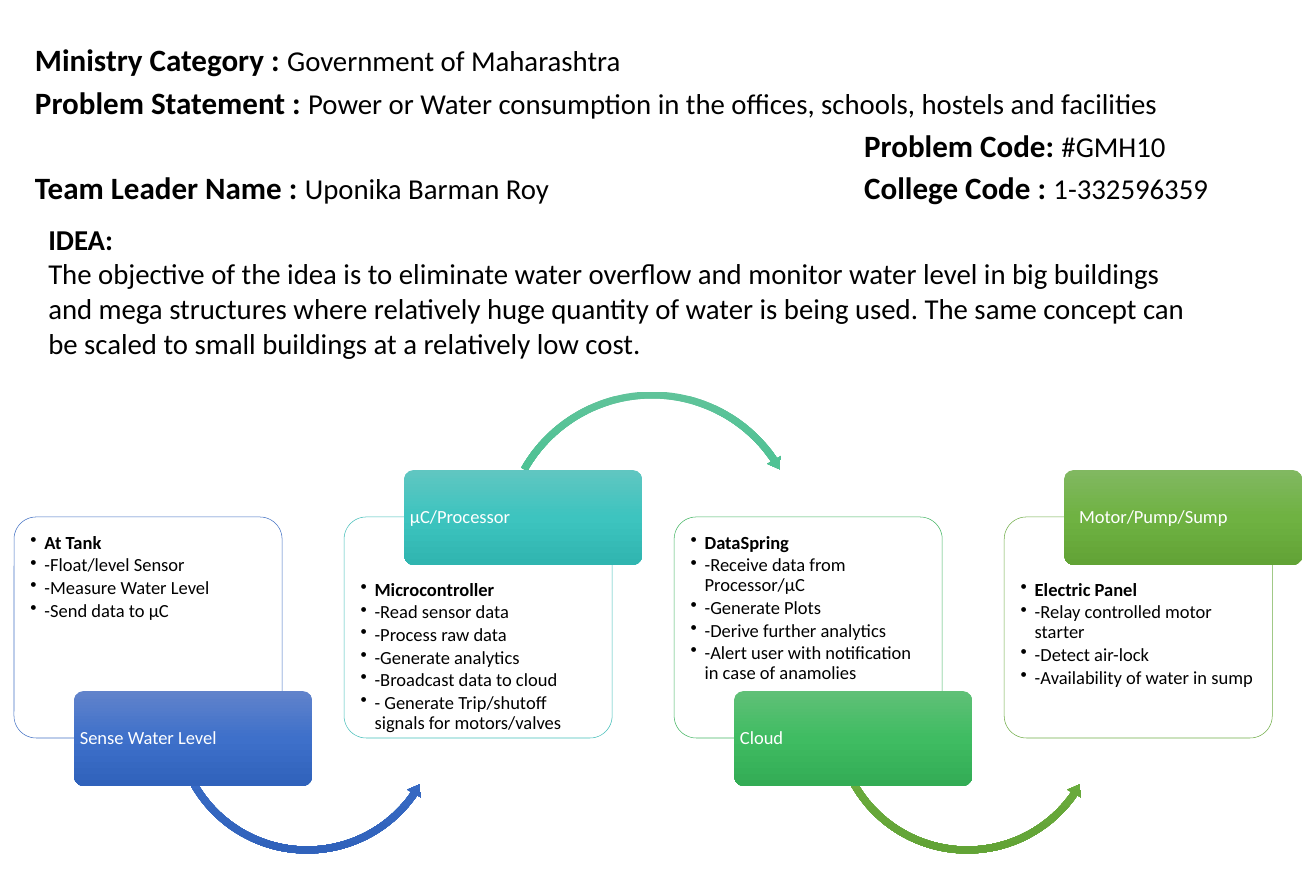
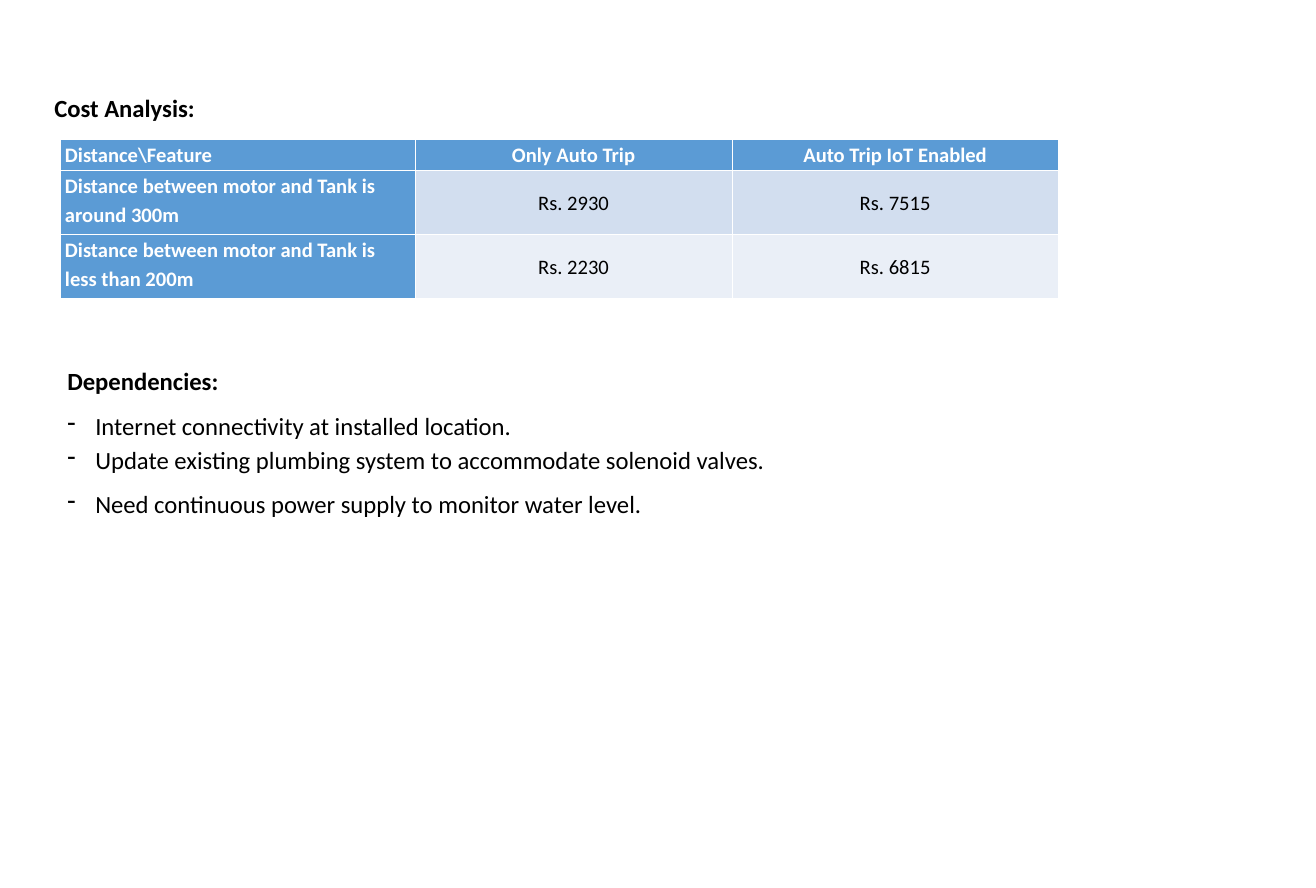
import copy

import pptx
import pptx.dml.color
import pptx.enum.shapes
import pptx.enum.text
import pptx.oxml.ns
import pptx.util
from lxml import etree

RGB = pptx.dml.color.RGBColor
SHAPE = pptx.enum.shapes.MSO_SHAPE
ALIGN = pptx.enum.text.PP_ALIGN
ANCHOR = pptx.enum.text.MSO_ANCHOR
FIT = pptx.enum.text.MSO_AUTO_SIZE
Pt = pptx.util.Pt
qn = pptx.oxml.ns.qn

# Shared look
FONT = "Calibri"
PX_PER_INCH = 74
BLACK = RGB(0x00, 0x00, 0x00)
WHITE = RGB(0xFF, 0xFF, 0xFF)
HEADER_BLUE = RGB(0x5B, 0x9B, 0xD5)
ROW_BLUES = [RGB(0xD2, 0xDE, 0xEF), RGB(0xEA, 0xEF, 0xF7)]

# Outline colours of the cards
BLUE_LINE = RGB(0x44, 0x72, 0xC4)
TEAL_LINE = RGB(0x43, 0xBE, 0xB9)
GREEN_LINE = RGB(0x45, 0xB6, 0x64)
OLIVE_LINE = RGB(0x70, 0xAD, 0x47)

# Gradients, from top to bottom
BLUE = [RGB(0x61, 0x83, 0xCB), RGB(0x3E, 0x70, 0xCA), RGB(0x30, 0x62, 0xBB)]
TEAL = [RGB(0x60, 0xC6, 0xC1), RGB(0x3D, 0xC4, 0xBF), RGB(0x30, 0xB5, 0xB0)]
MINT = [RGB(0x60, 0xC3, 0x9A), RGB(0x3D, 0xC1, 0x8F), RGB(0x31, 0xB0, 0x80)]
GREEN = [RGB(0x60, 0xC0, 0x77), RGB(0x3F, 0xBC, 0x62), RGB(0x33, 0xAC, 0x55)]
OLIVE = [RGB(0x81, 0xB8, 0x61), RGB(0x6F, 0xB2, 0x42), RGB(0x62, 0xA3, 0x36)]

# Content of slide 1: each title line holds (label, value) pairs,
# None leaves the left column empty
TITLE_LINES = [
    [("Ministry Category : ", "Government of Maharashtra")],
    [("Problem Statement : ",
      "Power or Water consumption in the offices, schools, hostels and facilities")],
    [None, ("Problem Code: ", "#GMH10")],
    [("Team Leader Name : ", "Uponika Barman Roy"), ("College Code : ", "1-332596359")],
]
IDEA = [
    "IDEA:",
    "The objective of the idea is to eliminate water overflow and monitor water level "
    "in big buildings and mega structures where relatively huge quantity of water is "
    "being used. The same concept can be scaled to small buildings at a relatively low cost.",
]
STAGES = [
    {"label": "Sense Water Level", "indent": 0, "line": BLUE_LINE, "fill": BLUE, "arrow": BLUE,
     "points": ["At Tank", "-Float/level Sensor", "-Measure Water Level", "-Send data to µC"]},
    {"label": "µC/Processor", "indent": 0, "line": TEAL_LINE, "fill": TEAL, "arrow": MINT,
     "points": ["Microcontroller", "-Read sensor data", "-Process raw data",
                "-Generate analytics", "-Broadcast data to cloud",
                "- Generate Trip/shutoff signals for motors/valves"]},
    {"label": "Cloud", "indent": 0, "line": GREEN_LINE, "fill": GREEN, "arrow": OLIVE,
     "points": ["DataSpring", "-Receive data from Processor/µC", "-Generate Plots",
                "-Derive further analytics",
                "-Alert user with notification in case of anamolies"]},
    {"label": "Motor/Pump/Sump", "indent": 9, "line": OLIVE_LINE, "fill": OLIVE, "arrow": None,
     "points": ["Electric Panel", "-Relay controlled motor starter", "-Detect air-lock",
                "-Availability of water in sump"]},
]

# Content of slide 2
COSTS = [
    ["Distance\\Feature", "Only Auto Trip", "Auto Trip IoT Enabled"],
    ["Distance between motor and Tank is around 300m", "Rs. 2930", "Rs. 7515"],
    ["Distance between motor and Tank is less than 200m", "Rs. 2230", "Rs. 6815"],
]
DEPENDENCIES = [
    "Internet connectivity at installed location.",
    "Update existing plumbing system to accommodate solenoid valves.",
    "Need continuous power supply to monitor water level.",
]

# Layout in px
COST_COLUMNS = [355, 317, 326]
COST_ROWS = [31, 64, 64]
STAGE_LEFT, STAGE_PITCH = 14, 330
CARD_TOP, CARD_W, CARD_H = 517, 268, 221
LABEL_SHIFT, LABEL_W, LABEL_H = 60, 238, 95
# Arrow under a low label and over a high one; angles in degrees
LOW_ARROW = {"kind": SHAPE.LEFT_CIRCULAR_ARROW, "shift": 155, "top": 582, "size": 276,
             "head": 4.94, "end": 34.5, "start": 150.4}
HIGH_ARROW = {"kind": SHAPE.CIRCULAR_ARROW, "shift": 153, "top": 387, "size": 310,
              "head": 4.37, "end": 326.04, "start": 209.6}


def px(length):
    return pptx.util.Emu(round(length * 914400 / PX_PER_INCH))


def box(*lengths):
    return [px(length) for length in lengths]


def apply(target, formats):
    for name, value in formats.items():
        setattr(target, name, value)


def add_run(paragraph, text, size, bold=False, color=BLACK):
    run = paragraph.add_run()
    run.text = text
    apply(run.font, {"name": FONT, "size": Pt(size), "bold": bold})
    run.font.color.rgb = color


def add_paragraph(frame, text, size, bold=False, color=BLACK, indent=0, bullet=None, **formats):
    first = frame.paragraphs[0]
    paragraph = first if not first.runs else frame.add_paragraph()
    apply(paragraph, {"alignment": ALIGN.LEFT, **formats})
    add_run(paragraph, text, size, bold, color)
    properties = paragraph._p.get_or_add_pPr()
    if indent:
        properties.set("marL", str(px(indent)))
    if bullet:
        properties.set("indent", str(-px(indent)))
        etree.SubElement(properties, qn("a:buChar"), char=bullet)


def add_text_box(slide, place, wrap=True):
    frame = slide.shapes.add_textbox(*box(*place)).text_frame
    apply(frame, {"word_wrap": wrap, "auto_size": FIT.SHAPE_TO_FIT_TEXT})
    return frame


def set_margins(target, left, top, right, bottom):
    sides = {"left": left, "top": top, "right": right, "bottom": bottom}
    apply(target, {f"margin_{side}": px(length) for side, length in sides.items()})


def add_plain_shape(slide, kind, *place):
    shape = slide.shapes.add_shape(kind, *box(*place))
    shape.shadow.inherit = False
    shape.line.fill.background()
    return shape


def set_gradient(shape, colors):
    shape.fill.gradient()
    shape.fill.gradient_angle = 270
    stops = shape._element.spPr.find(".//" + qn("a:gsLst"))
    stops.insert(1, copy.deepcopy(stops[0]))
    for stop, color, position in zip(shape.fill.gradient_stops, colors, (0, 0.5, 1)):
        stop.color.rgb = color
        stop.position = position


def add_title(slide):
    title = slide.shapes.title
    apply(title, dict(zip(("left", "top", "width", "height"), box(28, -44, 1205, 286))))
    frame = title.text_frame
    apply(frame, {"word_wrap": True, "auto_size": FIT.NONE, "vertical_anchor": ANCHOR.MIDDLE})
    set_margins(frame, 7, 47, 7, 4)
    lines = frame.paragraphs[0]
    apply(lines, {"alignment": ALIGN.LEFT, "line_spacing": 1.15, "space_after": Pt(10)})
    for number, line in enumerate(TITLE_LINES):
        if number:
            lines.add_line_break()
        for column, pair in enumerate(line):
            if column:
                add_run(lines, "\t", 30.2)
            if pair:
                add_run(lines, pair[0], 30.2, bold=True)
                add_run(lines, pair[1], 28)
    tabs = etree.SubElement(lines._p.get_or_add_pPr(), qn("a:tabLst"))
    etree.SubElement(tabs, qn("a:tab"), pos=str(px(829)), algn="l")


def add_card(slide, stage, left, high):
    card = add_plain_shape(slide, SHAPE.ROUNDED_RECTANGLE, left, CARD_TOP, CARD_W, CARD_H)
    card.adjustments[0] = 0.1
    card.fill.solid()
    card.fill.fore_color.rgb = WHITE
    card.line.color.rgb = stage["line"]
    card.line.width = Pt(0.5)
    frame = card.text_frame
    apply(frame, {"word_wrap": True, "vertical_anchor": ANCHOR.TOP})
    set_margins(frame, 10, 10 + LABEL_H // 2 * high, 10, 0)
    for number, point in enumerate(stage["points"]):
        add_paragraph(frame, point, 18, bold=number == 0, indent=14, bullet="•",
                      line_spacing=0.9, space_after=Pt(2.5))


def add_arrow(slide, colors, left, form):
    size = form["size"]
    arrow = add_plain_shape(slide, form["kind"], left + form["shift"], form["top"], size, size)
    # Angles count in 60000ths of a degree, adjustments in 100000ths
    angles = [form[name] * 0.6 for name in ("head", "end", "start")]
    for number, value in enumerate([7 / size, *angles, 8 / size]):
        arrow.adjustments[number] = value
    set_gradient(arrow, colors)


def add_label(slide, stage, left, high):
    middle = CARD_TOP if high else CARD_TOP + CARD_H
    label = add_plain_shape(slide, SHAPE.ROUNDED_RECTANGLE, left + LABEL_SHIFT,
                            middle - LABEL_H // 2, LABEL_W, LABEL_H)
    label.adjustments[0] = 0.1
    set_gradient(label, stage["fill"])
    frame = label.text_frame
    apply(frame, {"word_wrap": True, "vertical_anchor": ANCHOR.MIDDLE})
    set_margins(frame, 3, 2, 3, 2)
    add_paragraph(frame, stage["label"], 18, color=WHITE, indent=stage["indent"],
                  line_spacing=0.9)


def build_idea_slide(deck):
    slide = deck.slides.add_slide(deck.slide_layouts[5])
    add_title(slide)
    idea = add_text_box(slide, (41, 218, 1158, 147))
    for number, text in enumerate(IDEA):
        add_paragraph(idea, text, 28, bold=number == 0)

    # Stages alternate between a low and a high label
    for number, stage in enumerate(STAGES):
        left = STAGE_LEFT + number * STAGE_PITCH
        high = number % 2
        add_card(slide, stage, left, high)
        if stage["arrow"]:
            add_arrow(slide, stage["arrow"], left, HIGH_ARROW if high else LOW_ARROW)
        add_label(slide, stage, left, high)


def add_cost_table(slide):
    place = box(60, 139, sum(COST_COLUMNS), sum(COST_ROWS))
    costs = slide.shapes.add_table(len(COST_ROWS), len(COST_COLUMNS), *place).table
    costs.first_col = True
    for column, width in zip(costs.columns, COST_COLUMNS):
        column.width = px(width)
    for row, height in zip(costs.rows, COST_ROWS):
        row.height = px(height)
    for r, texts in enumerate(COSTS):
        for c, text in enumerate(texts):
            cell = costs.cell(r, c)
            heading = r == 0 or c == 0
            cell.fill.solid()
            cell.fill.fore_color.rgb = HEADER_BLUE if heading else ROW_BLUES[r - 1]
            cell.vertical_anchor = ANCHOR.TOP if heading else ANCHOR.MIDDLE
            set_margins(cell, 5, 0, 5, 0)
            add_paragraph(cell.text_frame, text, 20, bold=heading,
                          color=WHITE if heading else BLACK, line_spacing=1.15,
                          alignment=ALIGN.CENTER if c else ALIGN.LEFT)


def build_cost_slide(deck):
    slide = deck.slides.add_slide(deck.slide_layouts[6])
    add_cost_table(slide)
    heading = {"size": 24, "bold": True, "line_spacing": 1.15, "space_after": Pt(10)}
    add_paragraph(add_text_box(slide, (47, 85, 157, 42), wrap=False), "Cost Analysis:", **heading)

    needs = add_text_box(slide, (60, 358, 1179, 166))
    add_paragraph(needs, "Dependencies:", alignment=ALIGN.JUSTIFY, **heading)
    for text in DEPENDENCIES:
        add_paragraph(needs, text, 24, indent=28, bullet="-", alignment=ALIGN.JUSTIFY,
                      line_spacing=1.5 if text == DEPENDENCIES[-1] else 1.15)


def main():
    deck = pptx.Presentation()
    deck.slide_width = pptx.util.Inches(17.78)
    deck.slide_height = pptx.util.Inches(12)
    build_idea_slide(deck)
    build_cost_slide(deck)
    deck.save("out.pptx")


if __name__ == "__main__":
    main()
